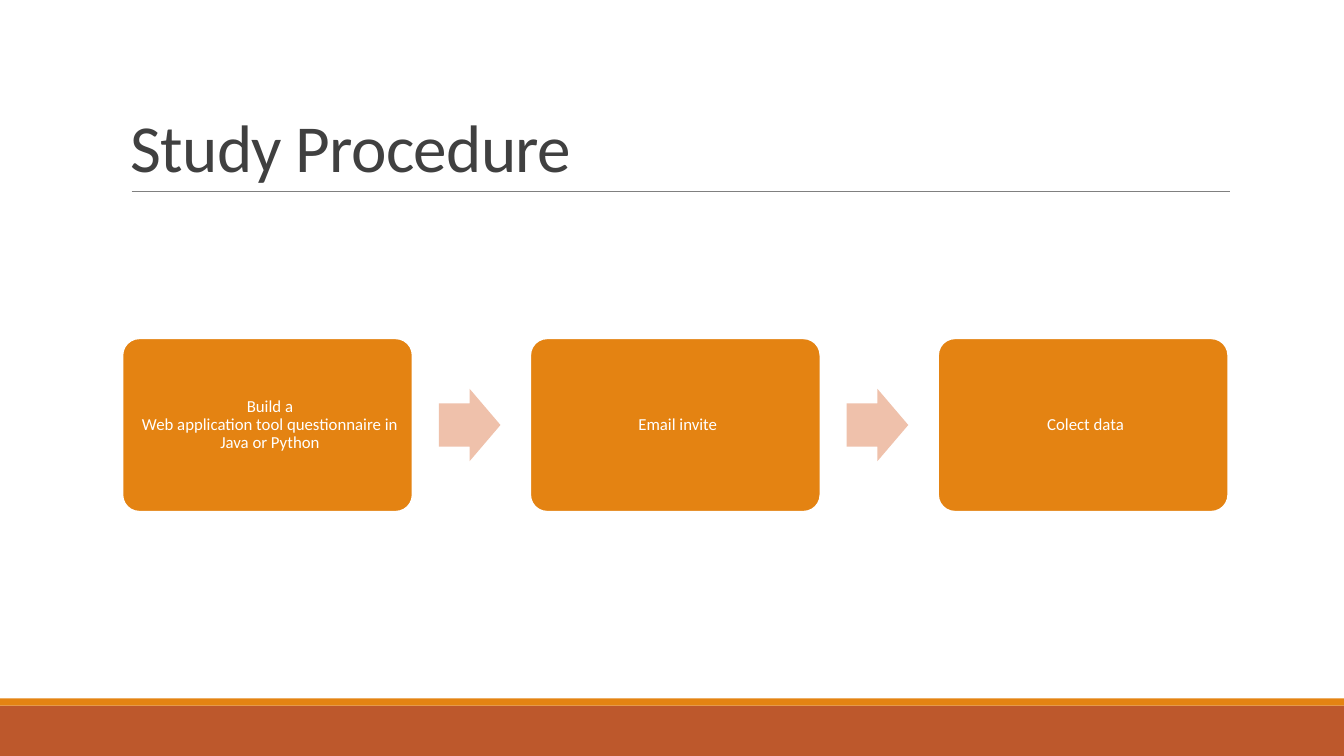
import pptx
import pptx.dml.color
import pptx.enum.shapes
import pptx.enum.text
import pptx.oxml
import pptx.oxml.ns
import pptx.util

Pt = pptx.util.Pt
RGBColor = pptx.dml.color.RGBColor
SHAPE = pptx.enum.shapes.MSO_SHAPE
ALIGN = pptx.enum.text.PP_ALIGN
ANCHOR = pptx.enum.text.MSO_ANCHOR

WHITE = RGBColor(0xFF, 0xFF, 0xFF)
ORANGE = RGBColor(0xE4, 0x83, 0x12)
RUST = RGBColor(0xBD, 0x58, 0x2C)
PEACH = RGBColor(0xEF, 0xC1, 0xAB)
GREY = RGBColor(0x80, 0x80, 0x80)
DARK = RGBColor(0x40, 0x40, 0x40)


def unbroken(phrase):
    """Join the words with no-break spaces, so they stay on one line."""
    return phrase.replace(" ", chr(160))


PAGE_WIDTH, PAGE_HEIGHT = 960, 540
STEPS = [
    "Build a " + unbroken("Web application tool questionnaire in")
    + " Java or Python",
    "Email invite",
    unbroken("Colect data"),
]
STEP_LEFT, STEP_PITCH = 87.1, 291.3
STEP_WIDTH, STEP_HEIGHT = 208, 124.6
ARROW_OFFSET, ARROW_WIDTH, ARROW_HEIGHT = 226.4, 44, 51.6
ROW_MIDDLE = 303.6

TITLE_FRAME = {"vertical_anchor": ANCHOR.BOTTOM, "word_wrap": True,
               "auto_size": pptx.enum.text.MSO_AUTO_SIZE.NONE}
TITLE_PARA = {"alignment": ALIGN.LEFT, "line_spacing": 0.85}
TITLE_FONT = {"name": "Calibri", "size": Pt(48)}
STEP_FRAME = {"vertical_anchor": ANCHOR.MIDDLE, "word_wrap": True,
              "margin_left": Pt(7.2), "margin_top": Pt(7.2),
              "margin_right": Pt(3.6), "margin_bottom": Pt(7.2)}
STEP_PARA = {"alignment": ALIGN.CENTER, "line_spacing": 0.9,
             "space_after": Pt(4.2)}
STEP_FONT = {"name": "Calibri", "size": Pt(12)}


def set_format(target, values):
    for name, value in values.items():
        setattr(target, name, value)


def write_text(shape, text, frame_format, para_format, font_format, color):
    frame = shape.text_frame
    set_format(frame, frame_format)
    para = frame.paragraphs[0]
    set_format(para, para_format)
    span = para.add_run()
    span.text = text
    set_format(span.font, font_format)
    span.font.color.rgb = color
    return span


def add_block(shapes, kind, left, top, width, height, fill, adjustments=()):
    block = shapes.add_shape(kind, Pt(left), Pt(top), Pt(width), Pt(height))
    block.shadow.inherit = False
    block.fill.solid()
    block.fill.fore_color.rgb = fill
    block.line.fill.background()
    for index, value in enumerate(adjustments):
        block.adjustments[index] = value
    return block


def add_rule(page, left, right, y):
    rule = page.shapes.add_connector(
        pptx.enum.shapes.MSO_CONNECTOR.STRAIGHT,
        Pt(left), Pt(y), Pt(right), Pt(y))
    rule.line.color.rgb = GREY
    rule.line.width = Pt(0.5)
    properties = rule._element.spPr
    properties.append(pptx.oxml.parse_xml(
        "<a:effectLst %s/>" % pptx.oxml.ns.nsdecls("a")))


def add_title(page, text):
    title = page.shapes.title
    set_format(title, {"left": Pt(86.1), "top": Pt(22.5),
                       "width": Pt(792), "height": Pt(114.3)})
    span = write_text(title, text, TITLE_FRAME, TITLE_PARA, TITLE_FONT, DARK)
    span.font._element.set("spc", "-50")


def add_step(shapes, text, left):
    box = add_block(shapes, SHAPE.ROUNDED_RECTANGLE, left,
                    ROW_MIDDLE - STEP_HEIGHT / 2, STEP_WIDTH, STEP_HEIGHT,
                    ORANGE, [0.1])
    box.line.color.rgb = WHITE
    box.line.width = Pt(2)
    write_text(box, text, STEP_FRAME, STEP_PARA, STEP_FONT, WHITE)


def add_process(page):
    group = page.shapes.add_group_shape()
    for index, text in enumerate(STEPS):
        left = STEP_LEFT + index * STEP_PITCH
        add_step(group.shapes, text, left)
        if index < len(STEPS) - 1:
            add_block(group.shapes, SHAPE.RIGHT_ARROW, left + ARROW_OFFSET,
                      ROW_MIDDLE - ARROW_HEIGHT / 2, ARROW_WIDTH,
                      ARROW_HEIGHT, PEACH, [0.6, 0.5])


def main():
    deck = pptx.Presentation()
    deck.slide_width, deck.slide_height = Pt(PAGE_WIDTH), Pt(PAGE_HEIGHT)
    page = deck.slides.add_slide(deck.slide_layouts[5])

    # Footer bands
    add_block(page.shapes, SHAPE.RECTANGLE, 0, 504, PAGE_WIDTH, 36, RUST)
    add_block(page.shapes, SHAPE.RECTANGLE, 0, 498.8, PAGE_WIDTH, 5.2, ORANGE)

    # Title with its rule
    add_rule(page, 94, 878.7, 136.8)
    add_title(page, unbroken("Study Procedure"))

    # Process steps joined by arrows
    add_process(page)

    deck.save("out.pptx")


if __name__ == "__main__":
    main()
